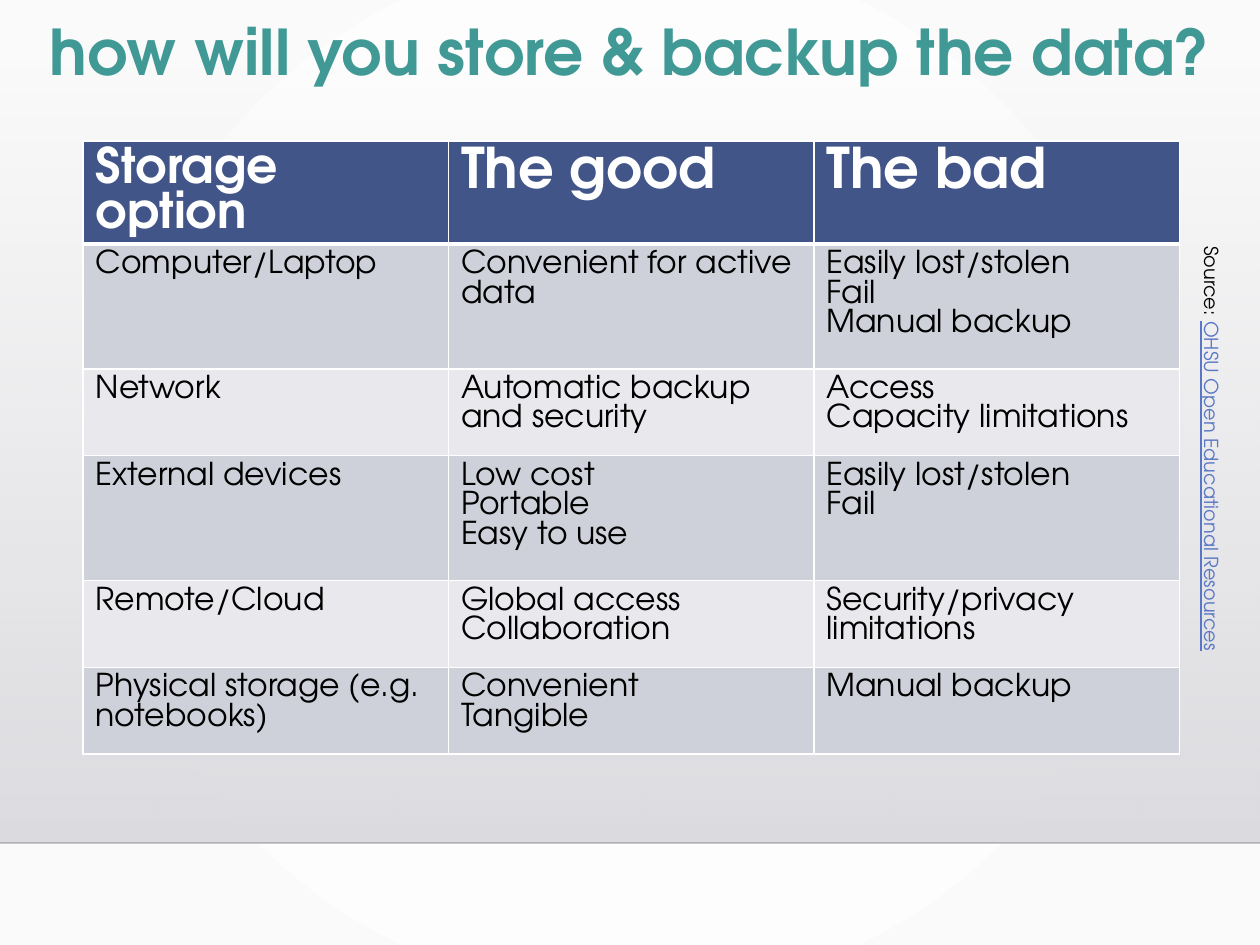
from lxml.etree import SubElement
from pptx import Presentation
from pptx.dml.color import RGBColor
from pptx.enum.shapes import MSO_CONNECTOR as Connector, MSO_SHAPE as Shape
from pptx.enum.text import MSO_ANCHOR as Anchor, MSO_AUTO_SIZE as AutoSize, PP_ALIGN as Align
from pptx.oxml.ns import qn
from pptx.util import Inches, Pt

# Content
TITLE = "how will you store & backup the data?"
HEADERS = [("Storage option", 28), ("The good", 32), ("The bad", 32)]
OPTIONS = [
    (["Computer/Laptop"], ["Convenient for active data"],
     ["Easily lost/stolen", "Fail", "Manual backup"]),
    (["Network"], ["Automatic backup and security"],
     ["Access", "Capacity limitations"]),
    (["External devices"], ["Low cost", "Portable", "Easy to use"],
     ["Easily lost/stolen", "Fail"]),
    (["Remote/Cloud"], ["Global access", "Collaboration"],
     ["Security/privacy limitations"]),
    (["Physical storage (e.g. notebooks)"], ["Convenient", "Tangible"],
     ["Manual backup"]),
]
SOURCE = [("Source: ", "black", False),
          ("OHSU Open Educational Resources", "link", True)]

# Style and measures in inches
FONT = "TeX Gyre Adventor"
COLORS = {"title": "409995", "header": "415588", "odd": "CFD1DA", "even": "E9E9ED",
          "white": "FFFFFF", "black": "000000", "link": "5977C4", "edge": "FAFAFA",
          "panel_top": "DCDCE0", "panel_bottom": "DEDEE2", "floor": "000001"}
WIDTH, HEIGHT = 10, 7.5
PANEL_TOP, FLOOR = 0.51, 6.69
TABLE_LEFT, TABLE_TOP, COLUMN = 0.66, 1.12, 2.9
HEADER_ROW = 0.46
ROW_BY_LINES = {2: 0.69, 3: 0.99}


def color(name):
    return RGBColor.from_string(COLORS[name])


def add_run(paragraph, text, size, name, bold=False, underline=False):
    run = paragraph.add_run()
    run.text = text
    font = run.font
    font.name, font.size, font.bold = FONT, Pt(size), bold
    font.underline = underline
    font.color.rgb = color(name)


def set_gradient(fill, names):
    fill.gradient()
    for stop, name in zip(fill.gradient_stops, names):
        stop.color.rgb = color(name)
    for stop, position in zip(fill.gradient_stops, (0, 1)):
        stop.position = position


def set_alpha(color_element, percent):
    SubElement(color_element, qn("a:alpha"), val=str(percent * 1000))


def set_borders(cell, bottom):
    properties = cell._tc.get_or_add_tcPr()
    for side, width in (("L", 1), ("R", 1), ("T", 1), ("B", bottom)):
        line = SubElement(properties, qn(f"a:ln{side}"), w=str(Pt(width)))
        solid = SubElement(line, qn("a:solidFill"))
        SubElement(solid, qn("a:srgbClr"), val=COLORS["white"])


def fill_cell(cell, lines, size, text_color, back, bold=False, bottom=1):
    set_borders(cell, bottom)
    cell.fill.solid()
    cell.fill.fore_color.rgb = color(back)
    frame = cell.text_frame
    for index, text in enumerate(lines):
        paragraph = frame.add_paragraph() if index else frame.paragraphs[0]
        add_run(paragraph, text, size, text_color, bold)


def add_backdrop(slide):
    # Radial background
    fill = slide.background.fill
    set_gradient(fill, ("white", "edge"))
    gradient = slide._element.find(".//" + qn("p:bgPr")).find(qn("a:gradFill"))
    gradient.remove(gradient.find(qn("a:lin")))
    radial = SubElement(gradient, qn("a:path"), {"path": "circle"})
    SubElement(radial, qn("a:fillToRect"), dict.fromkeys("ltrb", "50000"))

    # Panel that fades in towards the floor
    panel = slide.shapes.add_shape(Shape.RECTANGLE, 0, Inches(PANEL_TOP),
                                   Inches(WIDTH), Inches(FLOOR - PANEL_TOP))
    panel.shadow.inherit = False
    panel.line.fill.background()
    set_gradient(panel.fill, ("panel_top", "panel_bottom"))
    panel.fill.gradient_angle = 270
    set_alpha(panel._element.spPr.find(".//" + qn("a:srgbClr")), 0)

    # Floor line
    floor = slide.shapes.add_connector(Connector.STRAIGHT, 0, Inches(FLOOR),
                                       Inches(WIDTH), Inches(FLOOR))
    floor.line.width = Pt(1)
    floor.line.color.rgb = color("floor")
    set_alpha(floor._element.spPr.find(".//" + qn("a:srgbClr")), 20)
    SubElement(floor._element.spPr, qn("a:effectLst"))


def add_title(slide):
    title = slide.shapes.title
    slide.shapes._spTree.append(title._element)  # in front of the backdrop
    title.left, title.top = 0, Inches(0.12)
    title.width, title.height = Inches(WIDTH), Inches(1)
    frame = title.text_frame
    frame.auto_size, frame.vertical_anchor = AutoSize.NONE, Anchor.TOP
    paragraph = frame.paragraphs[0]
    paragraph.alignment, paragraph.line_spacing = Align.CENTER, 0.9
    add_run(paragraph, TITLE, 36, "title", bold=True)


def add_options_table(slide):
    heights = [HEADER_ROW] + [
        ROW_BY_LINES[max(2, *(len(lines) for lines in option))] for option in OPTIONS]
    table = slide.shapes.add_table(
        len(heights), len(HEADERS), Inches(TABLE_LEFT), Inches(TABLE_TOP),
        Inches(COLUMN * len(HEADERS)), Inches(sum(heights))).table
    for column in table.columns:
        column.width = Inches(COLUMN)
    for row, height in zip(table.rows, heights):
        row.height = Inches(height)
    for index, (text, size) in enumerate(HEADERS):
        fill_cell(table.cell(0, index), [text], size, "white", "header", True, 3)
    for row, option in enumerate(OPTIONS, 1):
        for column, lines in enumerate(option):
            fill_cell(table.cell(row, column), lines, 18, "black",
                      "odd" if row % 2 else "even")


def add_source(slide):
    box = slide.shapes.add_textbox(Inches(7.84), Inches(3.56), Inches(3.66), Inches(0.25))
    box.rotation = 90
    frame = box.text_frame
    frame.word_wrap = True
    paragraph = frame.paragraphs[0]
    paragraph.line_spacing = 1.2
    for text, name, underline in SOURCE:
        add_run(paragraph, text, 11, name, underline=underline)


def main():
    presentation = Presentation()
    presentation.slide_width, presentation.slide_height = Inches(WIDTH), Inches(HEIGHT)
    slide = presentation.slides.add_slide(presentation.slide_layouts[5])
    add_backdrop(slide)
    add_title(slide)
    add_options_table(slide)
    add_source(slide)
    presentation.save("out.pptx")


if __name__ == "__main__":
    main()
